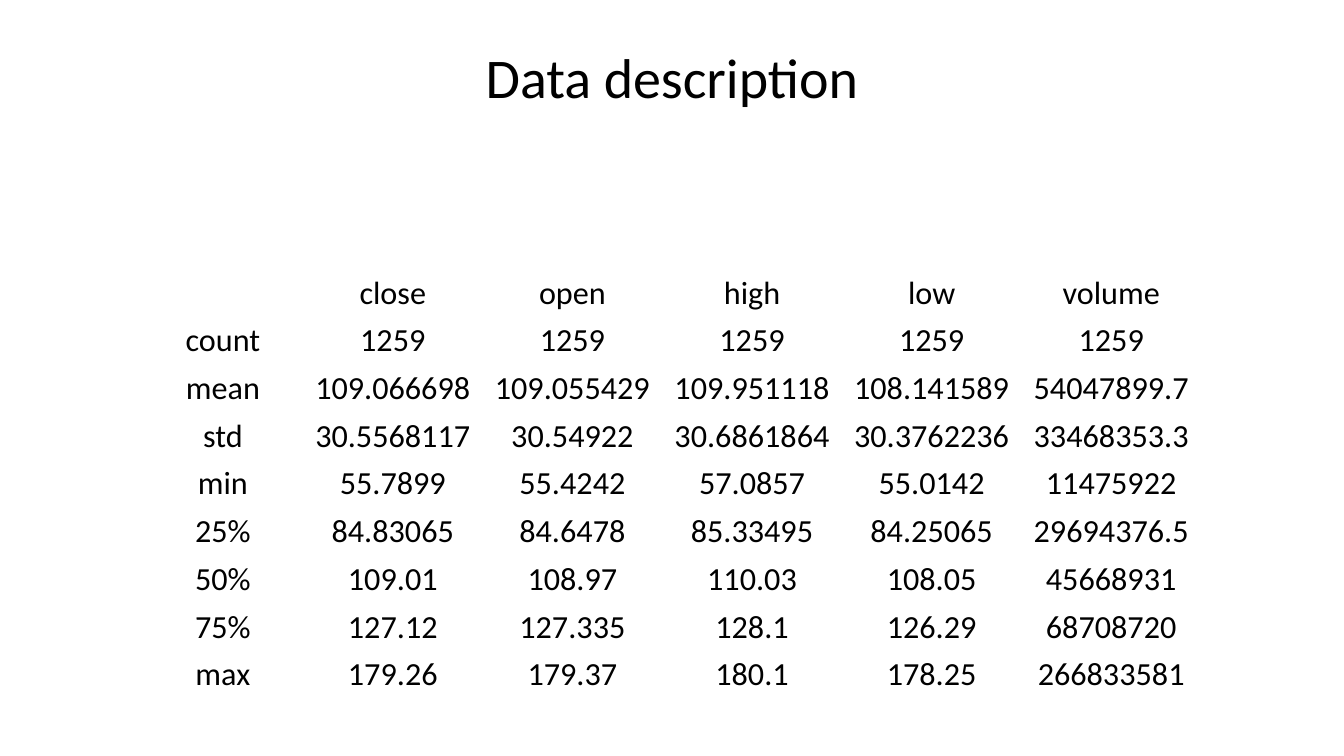
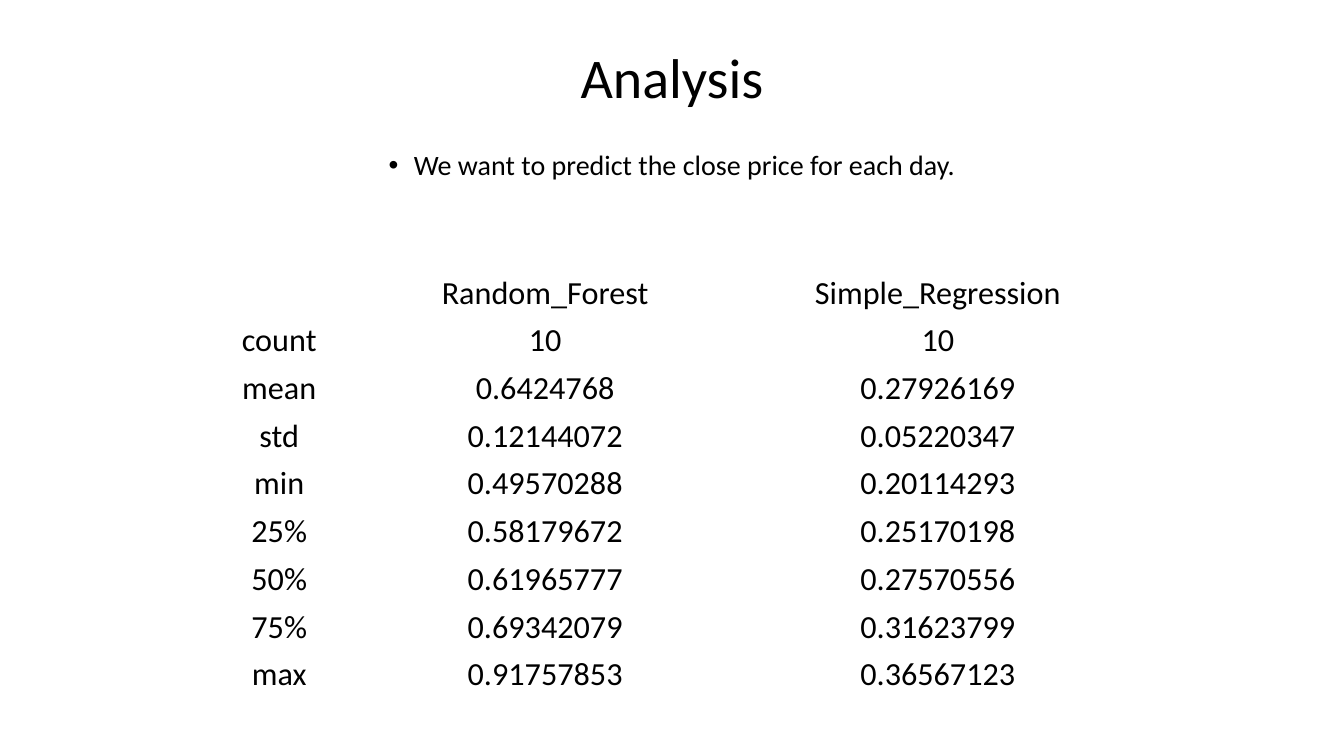
from lxml.etree import SubElement
from pptx import Presentation
from pptx.dml.color import RGBColor
from pptx.enum.text import MSO_ANCHOR, PP_ALIGN
from pptx.oxml.ns import qn
from pptx.util import Pt

# Content
STATISTICS = ["count", "mean", "std", "min", "25%", "50%", "75%", "max"]
SLIDES = [
    {
        "title": "Data description",
        "bullet": None,
        "widths": [114.5] + [128.3] * 5,
        "columns": {
            "close": ["1259", "109.066698", "30.5568117", "55.7899",
                      "84.83065", "109.01", "127.12", "179.26"],
            "open": ["1259", "109.055429", "30.54922", "55.4242",
                     "84.6478", "108.97", "127.335", "179.37"],
            "high": ["1259", "109.951118", "30.6861864", "57.0857",
                     "85.33495", "110.03", "128.1", "180.1"],
            "low": ["1259", "108.141589", "30.3762236", "55.0142",
                    "84.25065", "108.05", "126.29", "178.25"],
            "volume": ["1259", "54047899.7", "33468353.3", "11475922",
                       "29694376.5", "45668931", "68708720", "266833581"],
        },
    },
    {
        "title": "Analysis",
        "bullet": "We want to predict the close price for each day.",
        "widths": [114.5, 265.5, 295.5],
        "columns": {
            "Random_Forest": ["10", "0.6424768", "0.12144072", "0.49570288",
                              "0.58179672", "0.61965777", "0.69342079", "0.91757853"],
            "Simple_Regression": ["10", "0.27926169", "0.05220347", "0.20114293",
                                  "0.25170198", "0.27570556", "0.31623799", "0.36567123"],
        },
    },
]

# Shared style
BLACK = RGBColor(0x00, 0x00, 0x00)
FONT = "Calibri"
SLIDE_WIDTH, SLIDE_HEIGHT = 960, 540
TEXT_LEFT, TEXT_WIDTH = 79.2, 801.5
TITLE_TOP, TITLE_HEIGHT = 13.7, 87.8
BULLET_TOP, BULLET_HEIGHT = 108, 60.5
BULLET_INDENT = 18
TABLE_TOP, ROW_HEIGHT = 189.4, 34.1
TITLE_SIZE, BULLET_SIZE, TABLE_SIZE = 40, 20, 23
CELL_FORMAT = {
    "vertical_anchor": MSO_ANCHOR.BOTTOM,
    "margin_left": Pt(1.25),
    "margin_right": Pt(1.25),
    "margin_top": Pt(1.25),
    "margin_bottom": Pt(0),
}
TITLE_FORMAT = {"word_wrap": True, "vertical_anchor": MSO_ANCHOR.MIDDLE}
BULLET_FORMAT = {"word_wrap": True, "vertical_anchor": MSO_ANCHOR.TOP, "margin_top": Pt(0)}


def apply(target, values):
    for name, value in values.items():
        setattr(target, name, value)


def write(paragraph, text, size, spacing=1.0):
    apply(paragraph, {"text": text, "alignment": PP_ALIGN.CENTER, "line_spacing": spacing})
    apply(paragraph.runs[0].font, {"name": FONT, "size": Pt(size)})
    paragraph.runs[0].font.color.rgb = BLACK


def add_text(slide, text, top, height, size, frame_format):
    box = slide.shapes.add_textbox(Pt(TEXT_LEFT), Pt(top), Pt(TEXT_WIDTH), Pt(height))
    apply(box.text_frame, frame_format)
    paragraph = box.text_frame.paragraphs[0]
    write(paragraph, text, size, 0.9)
    return paragraph


def add_bullet(paragraph):
    properties = paragraph._p.get_or_add_pPr()
    properties.set("marL", str(Pt(BULLET_INDENT)))
    properties.set("indent", str(-Pt(BULLET_INDENT)))
    SubElement(properties, qn("a:buFont"), typeface="Arial")
    SubElement(properties, qn("a:buChar"), char="•")


def add_statistics(slide, columns, widths):
    rows = [["", *columns], *zip(STATISTICS, *columns.values())]
    total = sum(widths)
    table = slide.shapes.add_table(
        len(rows), len(widths), Pt((SLIDE_WIDTH - total) / 2), Pt(TABLE_TOP),
        Pt(total), Pt(ROW_HEIGHT * len(rows))).table
    apply(table, {"first_row": False, "horz_banding": False})
    for column, width in zip(table.columns, widths):
        column.width = Pt(width)
    for row, values in zip(table.rows, rows):
        row.height = Pt(ROW_HEIGHT)
        for cell, value in zip(row.cells, values):
            apply(cell, CELL_FORMAT)
            cell.fill.background()
            if value:
                write(cell.text_frame.paragraphs[0], value, TABLE_SIZE)


# Slides
deck = Presentation()
apply(deck, {"slide_width": Pt(SLIDE_WIDTH), "slide_height": Pt(SLIDE_HEIGHT)})
for content in SLIDES:
    slide = deck.slides.add_slide(deck.slide_layouts[6])
    add_text(slide, content["title"], TITLE_TOP, TITLE_HEIGHT, TITLE_SIZE, TITLE_FORMAT)
    if content["bullet"]:
        add_bullet(add_text(slide, content["bullet"], BULLET_TOP, BULLET_HEIGHT,
                            BULLET_SIZE, BULLET_FORMAT))
    add_statistics(slide, content["columns"], content["widths"])

deck.save("out.pptx")
